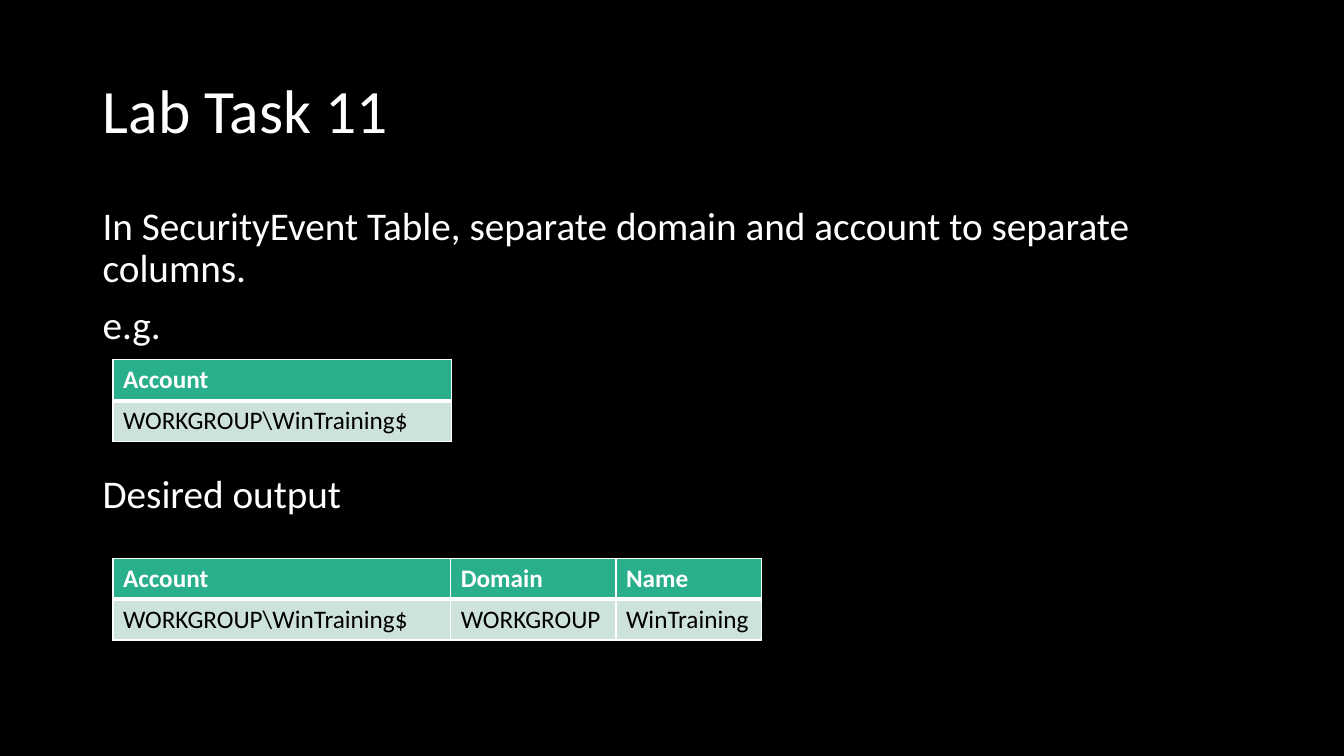
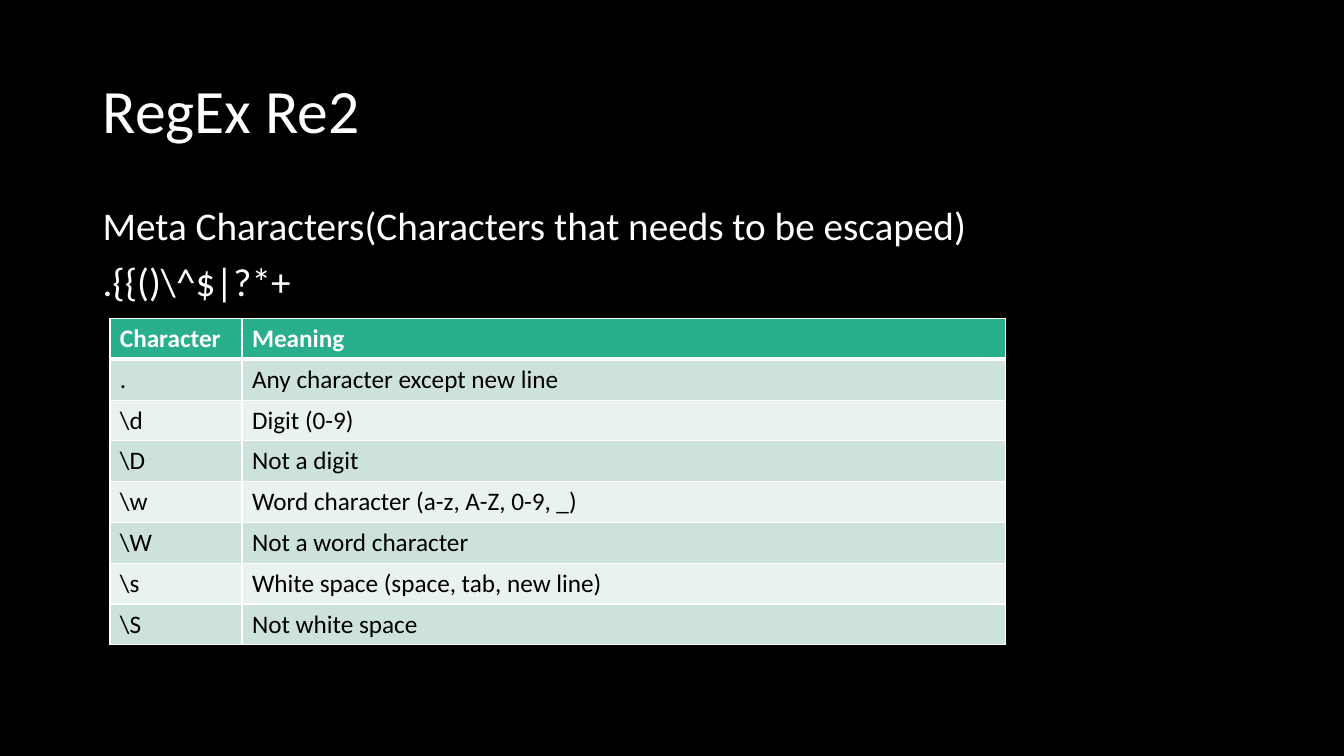
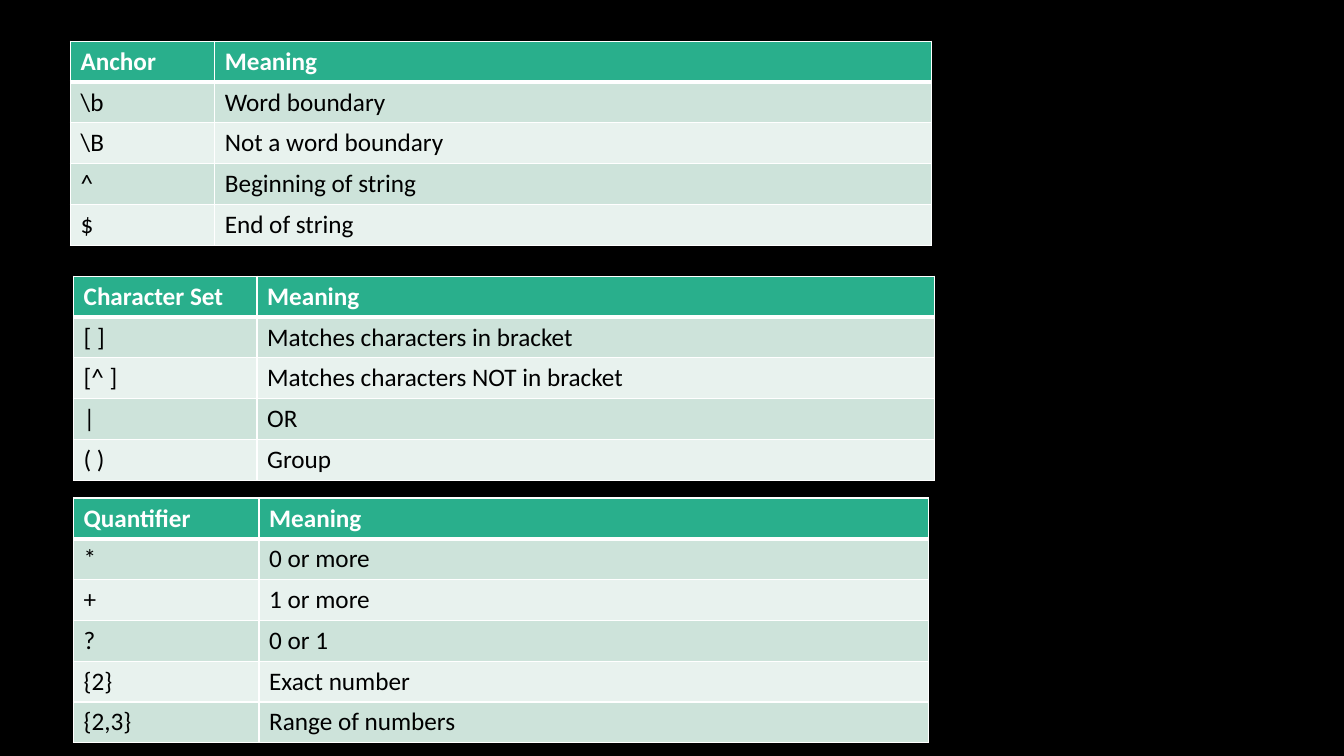
import pptx
import pptx.util
import pptx.dml.color
import pptx.enum.text
import pptx.oxml.xmlchemy
from dataclasses import dataclass
from lxml import etree
from pptx.util import Inches

NS = "http://schemas.openxmlformats.org/drawingml/2006/main"


@dataclass(frozen=True)
class Theme:
    font: str = "Calibri"
    back: str = "000000"
    light: str = "FFFFFF"
    ink: str = "000000"
    head: str = "29AF8C"
    bands: tuple = ("CDE3DA", "E8F2EE")
    title: int = 44
    body: int = 28
    cell: int = 18
    thin: int = 1
    thick: int = 3
    lead: float = 0.9
    gap: int = 10
    row: float = 0.81 / 2


def rgb(code):
    return pptx.dml.color.RGBColor.from_string(code)


class Deck:
    def __init__(self, theme):
        self.theme = theme
        self.prs = pptx.Presentation()
        self.prs.slide_width = Inches(13.33)
        self.prs.slide_height = Inches(7.5)
        fill = self.prs.slide_master.background.fill
        fill.solid()
        fill.fore_color.rgb = rgb(theme.back)
        self.slide = None

    def page(self):
        self.slide = self.prs.slides.add_slide(self.prs.slide_layouts[6])

    def style(self, para, size, color, bold=False):
        for run in para.runs:
            run.font.name = self.theme.font
            run.font.size = pptx.util.Pt(size)
            run.font.bold = bold
            run.font.color.rgb = rgb(color)

    def text(self, top, height, lines, size):
        box = self.slide.shapes.add_textbox(
            Inches(0.92), Inches(top), Inches(11.5), Inches(height))
        frame = box.text_frame
        frame.word_wrap = True
        frame.text = "\n".join(lines)
        for para in frame.paragraphs:
            para.line_spacing = self.theme.lead
            self.style(para, size, self.theme.light)
        return frame

    def title(self, line):
        frame = self.text(0.4, 1.45, [line], self.theme.title)
        frame.vertical_anchor = pptx.enum.text.MSO_ANCHOR.MIDDLE

    def body(self, lines, gaps=None):
        frame = self.text(2, 4.76, lines, self.theme.body)
        for i, para in enumerate(frame.paragraphs):
            gap = (gaps or {}).get(i, self.theme.gap)
            para.space_before = pptx.util.Pt(gap)

    def edge(self, cell, row):
        props = cell._tc.get_or_add_tcPr()
        thick = {0: "B", 1: "T"}.get(row)
        for i, side in enumerate("LRTB"):
            width = self.theme.thick if side == thick else self.theme.thin
            line = etree.Element(
                f"{{{NS}}}ln{side}", w=str(pptx.util.Pt(width)))
            fill = etree.SubElement(line, f"{{{NS}}}solidFill")
            etree.SubElement(fill, f"{{{NS}}}srgbClr", val=self.theme.light)
            props.insert(i, line)

    def table(self, left, top, cols, rows):
        theme = self.theme
        grid = self.slide.shapes.add_table(
            len(rows), len(cols), Inches(left), Inches(top),
            Inches(sum(cols)), Inches(theme.row * len(rows))).table
        for col, width in zip(grid.columns, cols):
            col.width = Inches(width)
        for r, row in enumerate(rows):
            grid.rows[r].height = Inches(theme.row)
            for c, word in enumerate(row):
                cell = grid.cell(r, c)
                cell.text_frame.text = word
                color = theme.ink if r else theme.light
                self.style(cell.text_frame.paragraphs[0],
                           theme.cell, color, r == 0)
                cell.fill.solid()
                shade = theme.bands[(r - 1) % 2] if r else theme.head
                cell.fill.fore_color.rgb = rgb(shade)
                self.edge(cell, r)


def task(deck):
    deck.page()
    deck.title("Lab Task 11")
    deck.body([
        "In SecurityEvent Table, separate domain and account to separate columns.",
        "e.g.",
        "Desired output",
    ], {2: 91})
    deck.table(1.12, 3.57, [3.36], [["Account"], ["WORKGROUP\\WinTraining$"]])
    deck.table(1.12, 5.54, [3.35, 1.64, 1.44], [
        ["Account", "Domain", "Name"],
        ["WORKGROUP\\WinTraining$", "WORKGROUP", "WinTraining"],
    ])


def regex(deck):
    deck.page()
    deck.title("RegEx Re2")
    deck.body([
        "Meta Characters(Characters that needs to be escaped)",
        ".{{()\\^$|?*+",
    ])
    deck.table(1.09, 3.16, [1.31, 7.57], [
        ["Character", "Meaning"],
        [".", "Any character except new line"],
        ["\\d", "Digit (0-9)"],
        ["\\D", "Not a digit"],
        ["\\w", "Word character (a-z, A-Z, 0-9, _)"],
        ["\\W", "Not a word character"],
        ["\\s", "White space (space, tab, new line)"],
        ["\\S", "Not white space"],
    ])


def syntax(deck):
    deck.page()
    deck.table(0.73, 2.74, [1.82, 6.72], [
        ["Character Set", "Meaning"],
        ["[ ]", "Matches characters in bracket"],
        ["[^ ]", "Matches characters NOT in bracket"],
        ["|", "OR"],
        ["( )", "Group"],
    ])
    deck.table(0.7, 0.41, [1.43, 7.11], [
        ["Anchor", "Meaning"],
        ["\\b", "Word boundary"],
        ["\\B", "Not a word boundary"],
        ["^", "Beginning of string"],
        ["$", "End of string"],
    ])
    deck.table(0.73, 4.94, [1.84, 6.64], [
        ["Quantifier", "Meaning"],
        ["*", "0 or more"],
        ["+", "1 or more"],
        ["?", "0 or 1"],
        ["{2}", "Exact number"],
        ["{2,3}", "Range of numbers"],
    ])


def main():
    deck = Deck(Theme())
    task(deck)
    regex(deck)
    syntax(deck)
    deck.prs.save("out.pptx")


if __name__ == "__main__":
    main()
